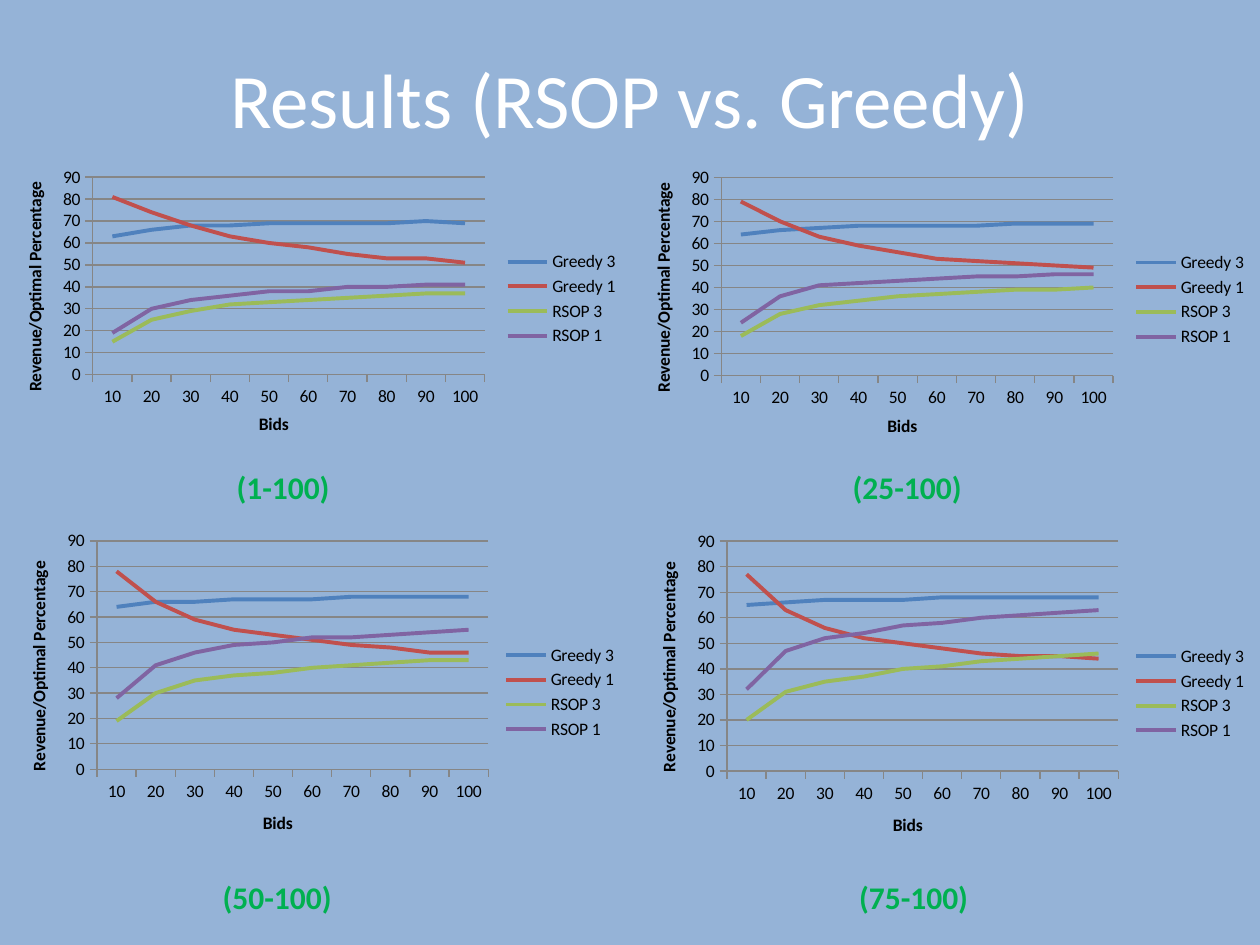
"""Build the RSOP versus Greedy results slide with four line charts."""
from lxml import etree
from pptx import Presentation
from pptx.chart.data import CategoryChartData
from pptx.dml.color import RGBColor as RGB
from pptx.enum.chart import XL_CHART_TYPE as CT, XL_LEGEND_POSITION as LP, XL_TICK_MARK as TM
from pptx.enum.text import MSO_ANCHOR as ANC, PP_ALIGN as AL
from pptx.oxml.ns import qn
from pptx.util import Cm, Pt

COLORS = {"bg": "95B3D7", "title": "FFFFFF", "range": "00B050", "text": "000000", "axis": "868686",
          "Greedy 3": "4F81BD", "Greedy 1": "C0504D", "RSOP 3": "9BBB59", "RSOP 1": "8064A2"}
FONT = "Calibri"
NAMES = ["Greedy 3", "Greedy 1", "RSOP 3", "RSOP 1"]
BIDS = [str(n) for n in range(10, 101, 10)]
TOP_PLOT = (0.145, 0.069, 0.622, 0.7)
LOW_PLOT = (0.154, 0.047, 0.621, 0.684)
PANELS = [
    ("(1-100)", (0.03, 3.18, 12.7, 5.69), (4.52, 9.32, 2.54), TOP_PLOT,
     [[63, 66, 68, 68, 69, 69, 69, 69, 70, 69], [81, 74, 68, 63, 60, 58, 55, 53, 53, 51],
      [15, 25, 29, 32, 33, 34, 35, 36, 37, 37], [19, 30, 34, 36, 38, 38, 40, 40, 41, 41]]),
    ("(25-100)", (12.7, 3.18, 12.7, 5.72), (16.94, 9.32, 2.9), TOP_PLOT,
     [[64, 66, 67, 68, 68, 68, 68, 69, 69, 69], [79, 70, 63, 59, 56, 53, 52, 51, 50, 49],
      [18, 28, 32, 34, 36, 37, 38, 39, 39, 40], [24, 36, 41, 42, 43, 44, 45, 45, 46, 46]]),
    ("(50-100)", (0, 10.59, 12.7, 6.73), (4.24, 17.58, 2.82), LOW_PLOT,
     [[64, 66, 66, 67, 67, 67, 68, 68, 68, 68], [78, 66, 59, 55, 53, 51, 49, 48, 46, 46],
      [19, 30, 35, 37, 38, 40, 41, 42, 43, 43], [28, 41, 46, 49, 50, 52, 52, 53, 54, 55]]),
    ("(75-100)", (12.7, 10.59, 12.7, 6.78), (17.07, 17.58, 2.74), LOW_PLOT,
     [[65, 66, 67, 67, 67, 68, 68, 68, 68, 68], [77, 63, 56, 52, 50, 48, 46, 45, 45, 44],
      [20, 31, 35, 37, 40, 41, 43, 44, 45, 46], [32, 47, 52, 54, 57, 58, 60, 61, 62, 63]]),
]


def add_run(p, text, size, color, bold=False):
    r = p.add_run()
    r.text = text
    r.font.name, r.font.size, r.font.bold = FONT, Pt(size), bold
    r.font.color.rgb = RGB.from_string(COLORS[color])


def set_plot(chart, plot):
    area = chart.element.find(".//" + qn("c:plotArea"))
    for old in area.findall(qn("c:layout")):
        area.remove(old)
    layout = etree.Element(qn("c:layout"))
    manual = etree.SubElement(layout, qn("c:manualLayout"))
    values = ("inner", "edge", "edge", *plot)
    for tag, val in zip(("layoutTarget", "xMode", "yMode", "x", "y", "w", "h"), values):
        etree.SubElement(manual, qn("c:" + tag)).set("val", str(val))
    area.insert(0, layout)


prs = Presentation()
prs.slide_width, prs.slide_height = Cm(25.4), Cm(19.05)
s = prs.slides.add_slide(prs.slide_layouts[5])
s.background.fill.solid()
s.background.fill.fore_color.rgb = RGB.from_string(COLORS["bg"])

title = s.shapes.title
title.left, title.top, title.width, title.height = Cm(1.27), Cm(0.76), Cm(22.86), Cm(2.41)
tf = title.text_frame
tf.vertical_anchor = ANC.MIDDLE
tf.paragraphs[0].alignment = AL.CENTER
add_run(tf.paragraphs[0], "Results (RSOP vs. Greedy)", 44, "title")

for label, box, (left, top, width), plot, rows in PANELS:
    data = CategoryChartData()
    data.categories = BIDS
    for name, row in zip(NAMES, rows):
        data.add_series(name, row)
    chart = s.shapes.add_chart(CT.LINE, *map(Cm, box), data).chart
    chart.has_title = False
    chart.font.name, chart.font.size = FONT, Pt(10)
    chart.font.color.rgb = RGB.from_string(COLORS["text"])
    chart.has_legend = True
    chart.legend.position = LP.RIGHT
    chart.legend.include_in_layout = False
    chart.plots[0].vary_by_categories = False
    for ser in chart.plots[0].series:
        ser.smooth = False
        ser.format.line.width = Pt(2.25)
        ser.format.line.color.rgb = RGB.from_string(COLORS[ser.name])

    cat, val = chart.category_axis, chart.value_axis
    val.minimum_scale, val.maximum_scale, val.major_unit = 0, 90, 10
    val.has_major_gridlines = True
    for axis, text in ((cat, "Bids"), (val, "Revenue/Optimal Percentage")):
        axis.major_tick_mark, axis.minor_tick_mark = TM.OUTSIDE, TM.NONE
        add_run(axis.axis_title.text_frame.paragraphs[0], text, 10, "text", True)
    for part in (cat, val, val.major_gridlines):
        part.format.line.width = Pt(0.75)
        part.format.line.color.rgb = RGB.from_string(COLORS["axis"])
    val.axis_title.text_frame._txBody.find(qn("a:bodyPr")).set("rot", "-5400000")
    set_plot(chart, plot)

    tf = s.shapes.add_textbox(Cm(left), Cm(top), Cm(width), Cm(1.02)).text_frame
    tf.word_wrap = True
    add_run(tf.paragraphs[0], label, 18, "range", True)

prs.save("out.pptx")
